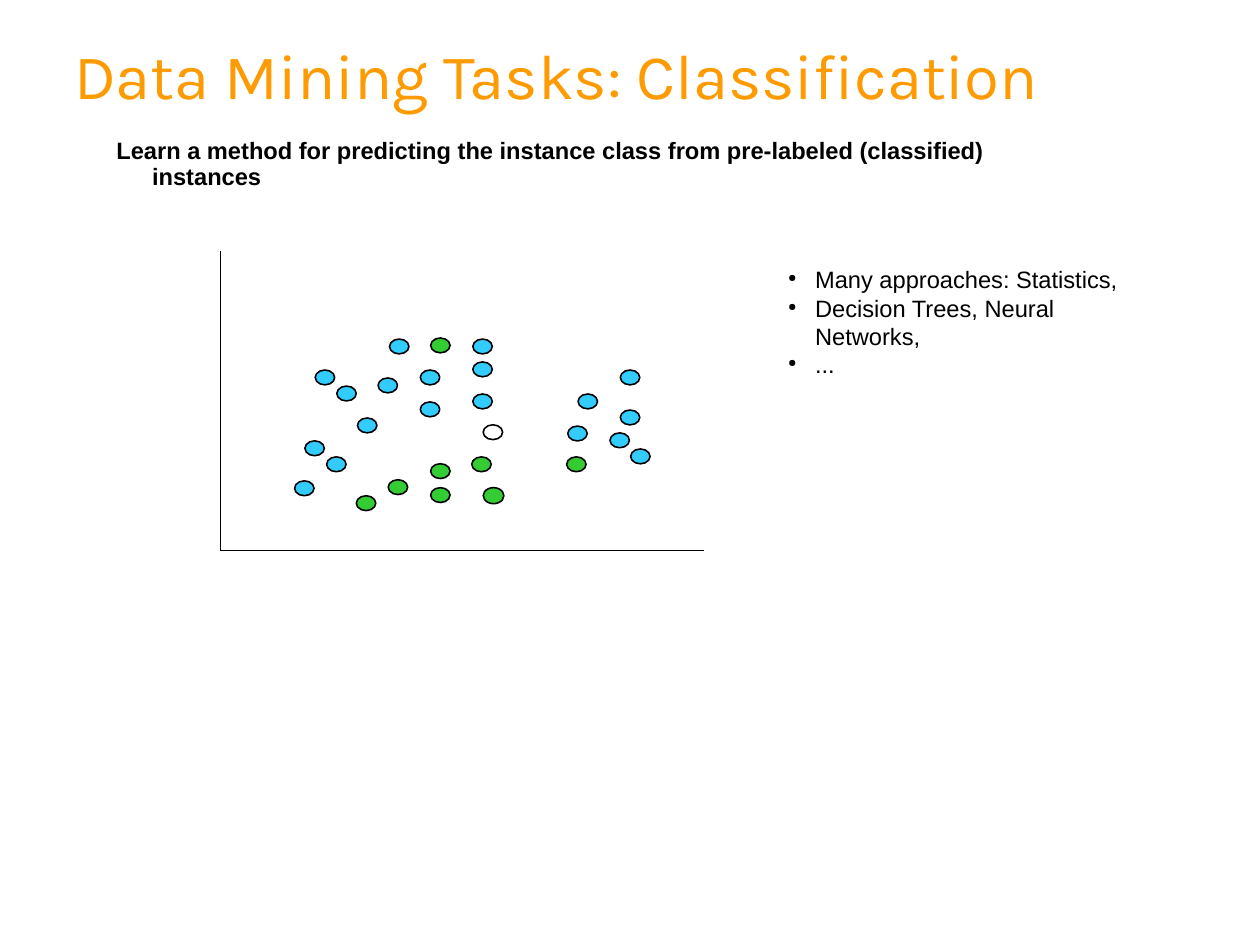
from lxml import etree
from pptx import Presentation
from pptx.dml.color import RGBColor
from pptx.enum import shapes, text
from pptx.oxml import ns
from pptx.util import Pt

ORANGE = RGBColor(0xFE, 0x9B, 0x03)
BLACK = RGBColor(0, 0, 0)
WHITE = RGBColor(255, 255, 255)
BLUE = RGBColor(0x33, 0xCC, 0xFF)
GREEN = RGBColor(0x33, 0xCC, 0x33)

TITLE_FONT = {"name": "Karla", "size": Pt(40)}
BODY_FONT = {"name": "Arial", "size": Pt(14.9)}
DOT_SIZE = (12.24, 9.36)
BIG_DOT_SIZE = (13, 10.1)

# Instances of each class: offsets from the top left of the plot
BLUE_DOTS = [
    (59.8, 74.9), (73.4, 85), (99.4, 79.9), (126, 74.9), (53.3, 119.5),
    (159.1, 55.4), (86.4, 105.1), (126, 95), (159.1, 90), (67, 129.6),
    (46.8, 144.7), (106.6, 55.4), (159.1, 69.8), (252, 74.9), (225.4, 90),
    (218.9, 110.2), (245.5, 114.5), (258.5, 124.6), (252, 100.1),
]
GREEN_DOTS = [
    (85.7, 154.1), (105.8, 144), (132.5, 149), (132.5, 133.9),
    (158.4, 129.6), (132.5, 54.7), (218.2, 129.6),
]
BIG_GREEN_DOT = (165.6, 149)
UNKNOWN_DOT = (165.6, 109.4)


def add_text(slide, box, lines, font, color, spacing=1.0, indent=0,
             bullet=None, anchor=text.MSO_ANCHOR.TOP):
    tf = slide.shapes.add_textbox(*map(Pt, box)).text_frame
    tf.word_wrap = True
    tf.vertical_anchor = anchor
    for i, line in enumerate(lines):
        p = tf.paragraphs[0] if i == 0 else tf.add_paragraph()
        p.line_spacing = spacing
        pPr = p._p.get_or_add_pPr()
        if indent:
            pPr.set("marL", str(Pt(indent)))
            pPr.set("indent", str(-Pt(indent)))
        if bullet:
            etree.SubElement(pPr, ns.qn("a:buSzPct"), val="45000")
            etree.SubElement(pPr, ns.qn("a:buChar"), char=bullet)
        r = p.add_run()
        r.text = line
        for key, value in font.items():
            setattr(r.font, key, value)
        r.font.color.rgb = color


def add_axis(slide, x1, y1, x2, y2):
    line = slide.shapes.add_connector(
        shapes.MSO_CONNECTOR.STRAIGHT, Pt(x1), Pt(y1), Pt(x2), Pt(y2))
    line.line.color.rgb = BLACK
    line.line.width = Pt(1)
    etree.SubElement(line._element.spPr, ns.qn("a:effectLst"))


def add_dot(slide, x, y, size, color):
    sp = slide.shapes.add_shape(
        shapes.MSO_SHAPE.OVAL, Pt(x), Pt(y), *map(Pt, size))
    sp.shadow.inherit = False
    sp.fill.solid()
    sp.fill.fore_color.rgb = color
    sp.line.color.rgb = BLACK
    sp.line.width = Pt(1)


def add_plot(slide, box):
    left, top, width, height = box
    bottom = top + height
    add_axis(slide, left, top, left, bottom)
    add_axis(slide, left, bottom, left + width, bottom)
    groups = [
        (BLUE_DOTS, DOT_SIZE, BLUE),
        (GREEN_DOTS, DOT_SIZE, GREEN),
        ([BIG_GREEN_DOT], BIG_DOT_SIZE, GREEN),
        ([UNKNOWN_DOT], DOT_SIZE, WHITE),
    ]
    for dots, size, color in groups:
        for dx, dy in dots:
            add_dot(slide, left + dx, top + dy, size, color)


def main():
    prs = Presentation()
    prs.slide_width, prs.slide_height = Pt(793.75), Pt(595.25)
    slide = prs.slides.add_slide(prs.slide_layouts[6])

    # Title and task statement
    add_text(slide, (39.6, 14.8, 720.72, 59.76),
             ["Data Mining Tasks: Classification"], TITLE_FONT, ORANGE,
             spacing=0.85, anchor=text.MSO_ANCHOR.BOTTOM)
    add_text(slide, (66.24, 84.24, 622.08, 39.6),
             ["Learn a method for predicting the instance class from "
              "pre-labeled (classified) instances"],
             {**BODY_FONT, "bold": True}, BLACK, spacing=0.9, indent=22.5)

    # Scatter of labeled instances
    add_plot(slide, (138.8, 158.2, 304.56, 188.64))

    # Approaches
    add_text(slide, (489.4, 163.44, 251.28, 79.2),
             ["Many approaches: Statistics,",
              "Decision Trees, Neural Networks,", "..."],
             BODY_FONT, BLACK, indent=17, bullet="●")

    prs.save("out.pptx")


if __name__ == "__main__":
    main()
